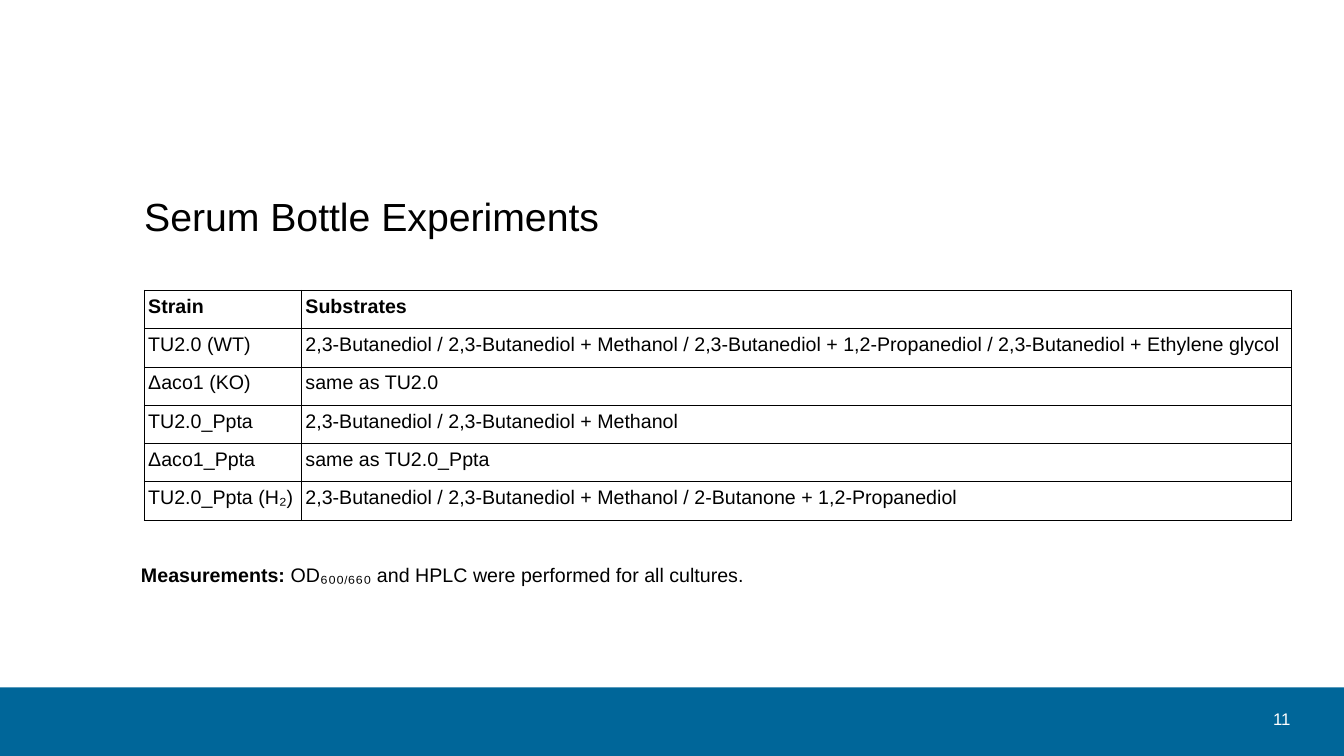
from lxml.etree import SubElement
from pptx import Presentation
from pptx.dml.color import RGBColor
from pptx.enum.shapes import MSO_SHAPE
from pptx.enum.text import MSO_ANCHOR, PP_ALIGN
from pptx.oxml.ns import qn
from pptx.util import Inches, Pt

BLACK = RGBColor(0, 0, 0)
WHITE = RGBColor(255, 255, 255)
BLUE = RGBColor(0, 0x66, 0x99)

LEFT, CONTENT_WIDTH = 1.43, 11.38
COLUMN_WIDTHS = (1.56, 9.82)
ROW_HEIGHT = 0.38
STRAINS = [
    ("Strain", "Substrates"),
    ("TU2.0 (WT)", "2,3-Butanediol / 2,3-Butanediol + Methanol / "
     "2,3-Butanediol + 1,2-Propanediol / 2,3-Butanediol + Ethylene glycol"),
    ("Δaco1 (KO)", "same as TU2.0"),
    ("TU2.0_Ppta", "2,3-Butanediol / 2,3-Butanediol + Methanol"),
    ("Δaco1_Ppta", "same as TU2.0_Ppta"),
    ("TU2.0_Ppta (H₂)",
     "2,3-Butanediol / 2,3-Butanediol + Methanol / 2-Butanone + 1,2-Propanediol"),
]


def style(para, size, color=BLACK, bold=False):
    para.font.name = "Arial"
    para.font.size = Pt(size)
    para.font.color.rgb = color
    para.font.bold = bold


def add_text(left, top, width, height, text, size, color=BLACK, inset=(0, 0),
             anchor=MSO_ANCHOR.MIDDLE):
    """Add a wrapping one-paragraph text box and return the paragraph."""
    frame = page.shapes.add_textbox(
        Inches(left), Inches(top), Inches(width), Inches(height)).text_frame
    frame.word_wrap = True
    frame.vertical_anchor = anchor
    frame.margin_left = frame.margin_right = Inches(inset[0])
    frame.margin_top = frame.margin_bottom = Inches(inset[1])
    para = frame.paragraphs[0]
    para.text = text
    style(para, size, color)
    return para


deck = Presentation()
deck.slide_width, deck.slide_height = Inches(13.33), Inches(7.5)
page = deck.slides.add_slide(deck.slide_layouts[6])

footer = page.shapes.add_shape(
    MSO_SHAPE.RECTANGLE, 0, Inches(6.82), deck.slide_width, Inches(0.68))
footer.shadow.inherit = False
footer.fill.solid()
footer.fill.fore_color.rgb = BLUE
footer.line.fill.background()

add_text(LEFT, 1.69, CONTENT_WIDTH, 0.9, "Serum Bottle Experiments", 28)

table = page.shapes.add_table(
    len(STRAINS), len(COLUMN_WIDTHS), Inches(LEFT), Inches(2.88),
    Inches(CONTENT_WIDTH), Inches(ROW_HEIGHT * len(STRAINS))).table
table.first_row = table.horz_banding = False
for column, width in zip(table.columns, COLUMN_WIDTHS):
    column.width = Inches(width)

for row_index, texts in enumerate(STRAINS):
    table.rows[row_index].height = Inches(ROW_HEIGHT)
    for column_index, text in enumerate(texts):
        cell = table.cell(row_index, column_index)
        cell.margin_left = cell.margin_right = Inches(0.04)
        cell.margin_top = cell.margin_bottom = Inches(0.05)
        cell.text = text
        style(cell.text_frame.paragraphs[0], 14, bold=row_index == 0)
        properties = cell._tc.get_or_add_tcPr()
        for side in ("a:lnL", "a:lnR", "a:lnT", "a:lnB"):
            border = SubElement(properties, qn(side), w=str(Pt(0.57)))
            paint = SubElement(border, qn("a:solidFill"))
            SubElement(paint, qn("a:srgbClr"), val=str(BLACK))
        cell.fill.background()

measurements = add_text(1.3, 5.54, 11.55, 0.33, "", 14, inset=(0.1, 0.05),
                        anchor=MSO_ANCHOR.TOP)
label, density, slash, rest = [measurements.add_run() for _ in range(4)]
label.text = "Measurements:"
label.font.bold = True
density.text = " OD₆₀₀"
slash.text = "/"
slash._r.get_or_add_rPr().set("baseline", "-8000")
rest.text = "₆₆₀ and HPLC were performed for all cultures."

page_number = add_text(11.9, 6.98, 0.9, 0.31, "11", 12, WHITE)
page_number.alignment = PP_ALIGN.RIGHT

deck.save("out.pptx")
